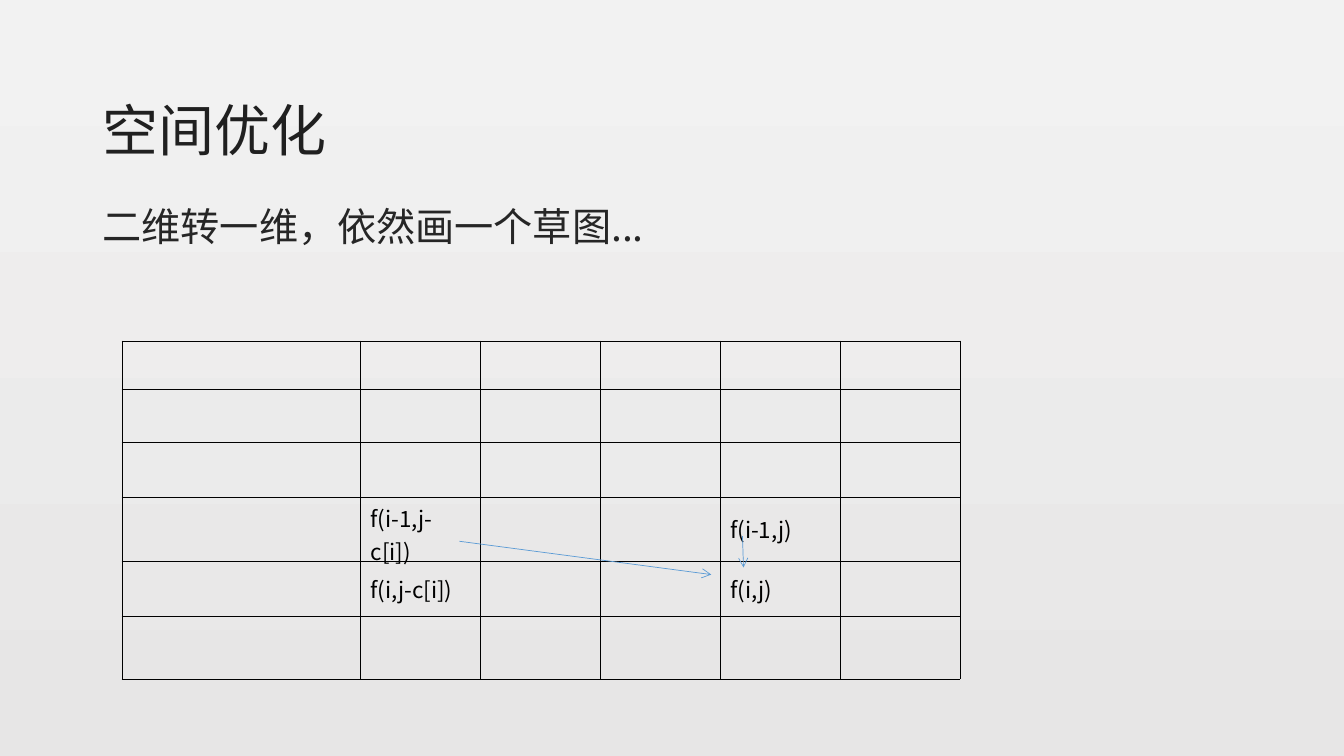
from itertools import product

from lxml.etree import SubElement
from pptx import Presentation
from pptx.dml.color import RGBColor
from pptx.enum.shapes import MSO_CONNECTOR
from pptx.enum.text import MSO_ANCHOR
from pptx.oxml.ns import qn
from pptx.util import Inches, Pt

FONT = "Noto Sans CJK SC"
BLACK = RGBColor(0x00, 0x00, 0x00)
TITLE_GREY = RGBColor(0x20, 0x20, 0x20)
BODY_GREY = RGBColor(0x26, 0x26, 0x26)
ARROW_BLUE = RGBColor(0x5B, 0x9B, 0xD5)
BACKGROUND_TOP = RGBColor(0xF2, 0xF2, 0xF2)
BACKGROUND_BOTTOM = RGBColor(0xE7, 0xE6, 0xE6)

presentation = Presentation()
presentation.slide_width, presentation.slide_height = Inches(13.34), Inches(7.5)
slide = presentation.slides.add_slide(presentation.slide_layouts[6])

background = slide.background.fill
background.gradient()
background.gradient_angle = 270
for stop, color in zip(background.gradient_stops, (BACKGROUND_TOP, BACKGROUND_BOTTOM)):
    stop.color.rgb = color


def write(paragraph, text, size, color):
    """Add a run whose Latin and East Asian text share one font."""
    run = paragraph.add_run()
    run.text = text
    for name, value in {"name": FONT, "size": Pt(size)}.items():
        setattr(run.font, name, value)
    run.font.color.rgb = color
    SubElement(run.font._element, qn("a:ea"), typeface=FONT)


# Title and body share one left edge and width
LEFT, WIDTH = Inches(0.92), Inches(11.5)
text_blocks = [
    ("空间优化", 0.22, 1.45, 40, TITLE_GREY, MSO_ANCHOR.BOTTOM,
     {"line_spacing": 0.9}),
    ("二维转一维，依然画一个草图...", 1.86, 4.89, 28, BODY_GREY, MSO_ANCHOR.TOP,
     {"line_spacing": 1.2, "space_before": Pt(10)}),
]
for text, top, height, size, color, anchor, spacing in text_blocks:
    box = slide.shapes.add_textbox(LEFT, Inches(top), WIDTH, Inches(height))
    frame = box.text_frame
    frame.word_wrap = True
    frame.vertical_anchor = anchor
    paragraph = frame.paragraphs[0]
    for name, value in spacing.items():
        setattr(paragraph, name, value)
    write(paragraph, text, size, color)

# State table: the first column is twice as wide as the others
column_widths = [2.37] + [1.19] * 5
row_heights = [0.48, 0.53, 0.54, 0.54, 0.55, 0.62]
states = {
    (3, 1): "f(i-1,j-c[i])",
    (3, 4): "f(i-1,j)",
    (4, 1): "f(i,j-c[i])",
    (4, 4): "f(i,j)",
}
table = slide.shapes.add_table(
    len(row_heights), len(column_widths), Inches(1.21), Inches(3.38),
    Inches(sum(column_widths)), Inches(sum(row_heights))).table
table.first_row = table.horz_banding = False
for column, width in zip(table.columns, column_widths):
    column.width = Inches(width)
for row, height in zip(table.rows, row_heights):
    row.height = Inches(height)

for position in product(range(len(row_heights)), range(len(column_widths))):
    cell = table.cell(*position)
    cell.vertical_anchor = MSO_ANCHOR.MIDDLE
    properties = cell._tc.get_or_add_tcPr()
    for side in ("lnL", "lnR", "lnT", "lnB"):
        border = SubElement(properties, qn(f"a:{side}"), w=str(Pt(0.23)))
        SubElement(SubElement(border, qn("a:solidFill")), qn("a:srgbClr"), val=str(BLACK))
    cell.fill.background()
    if position in states:
        write(cell.text_frame.paragraphs[0], states[position], 16, BLACK)

# Arrows from the two previous states to f(i,j)
transitions = [(4.56, 5.37, 7.06, 5.7), (7.37, 5.32, 7.38, 5.63)]
for ends in transitions:
    arrow = slide.shapes.add_connector(MSO_CONNECTOR.STRAIGHT, *map(Inches, ends))
    arrow.line.width = Pt(0.5)
    arrow.line.color.rgb = ARROW_BLUE
    SubElement(arrow.line._get_or_add_ln(), qn("a:tailEnd"), type="arrow")
    SubElement(arrow._element.spPr, qn("a:effectLst"))

presentation.save("out.pptx")
